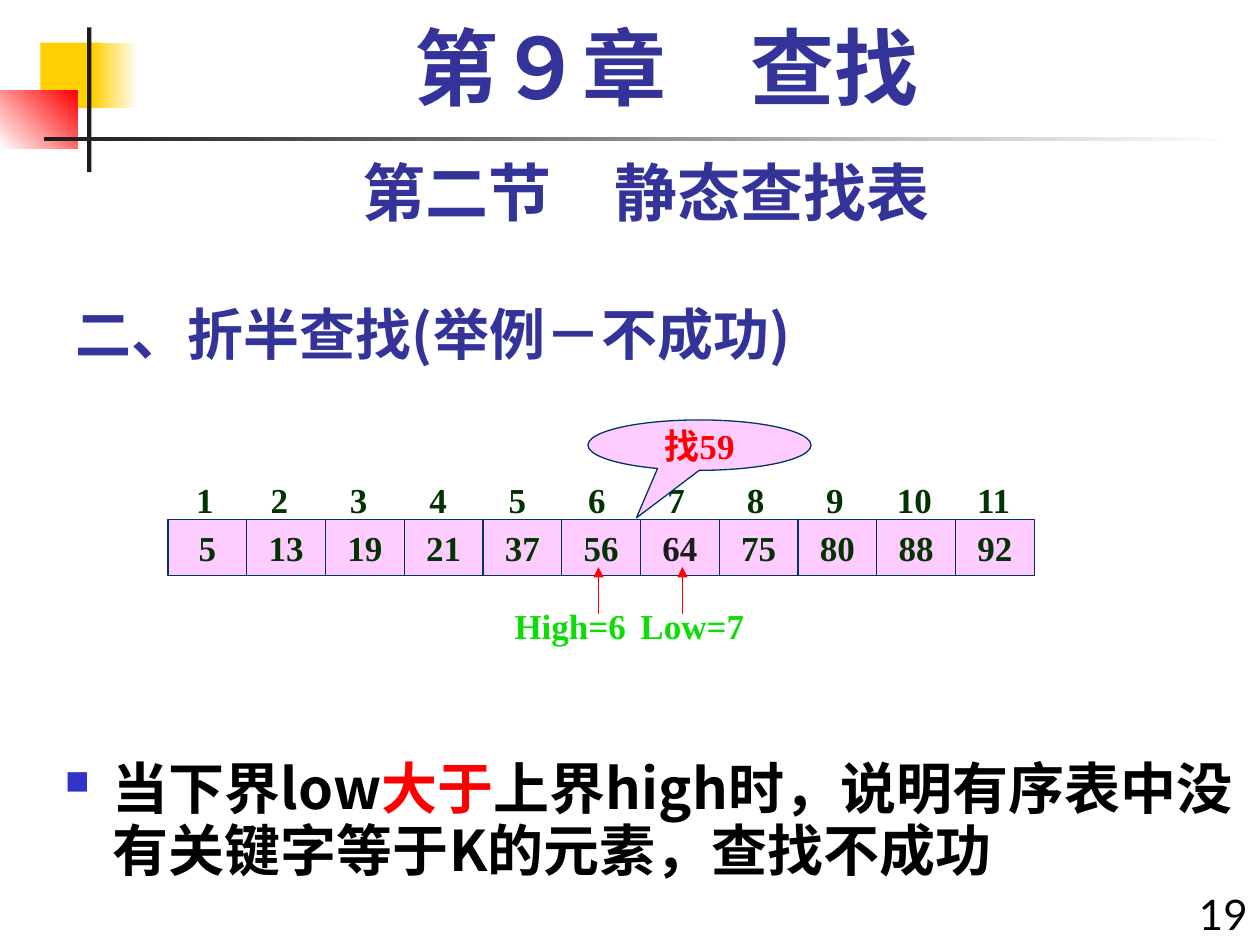
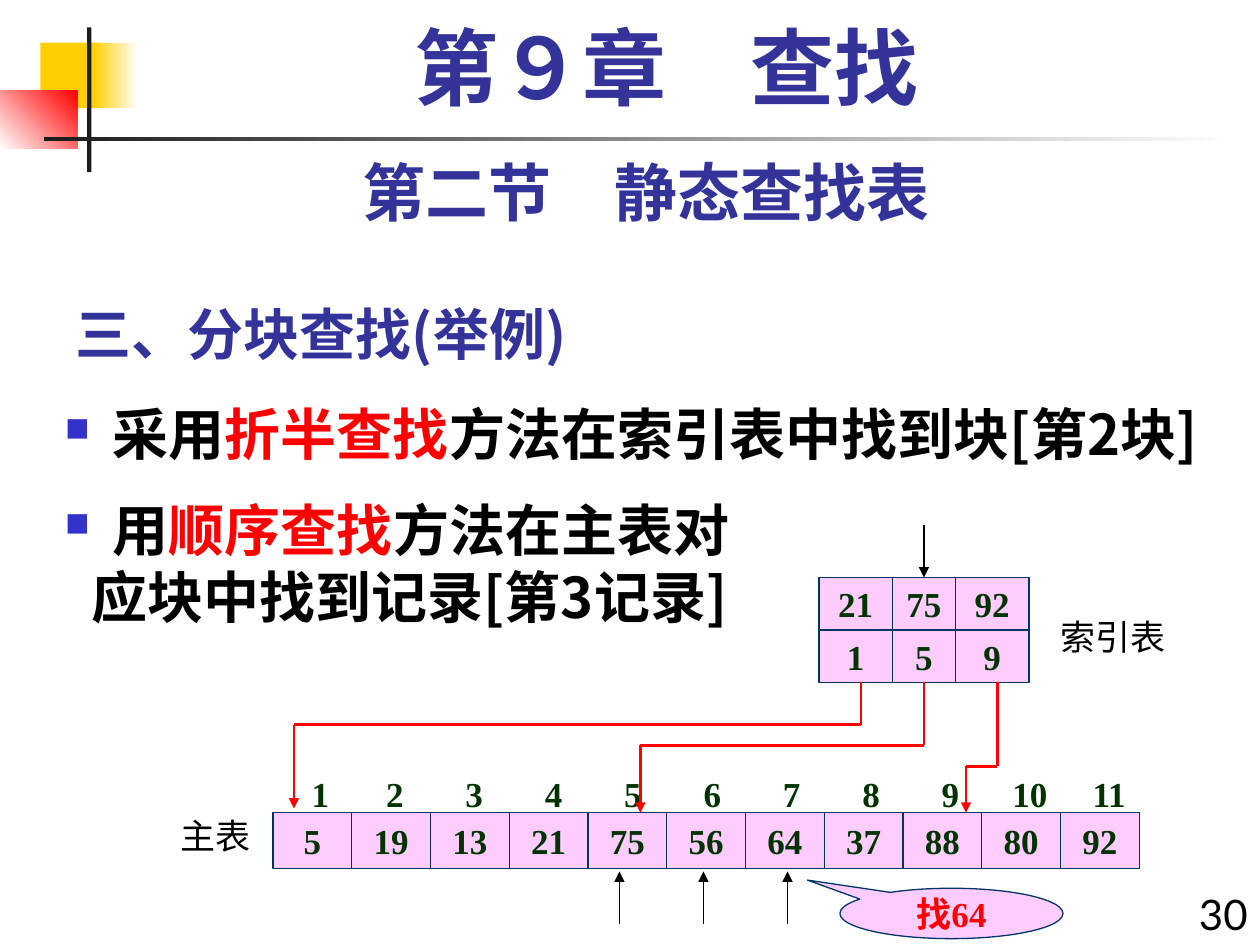
from itertools import pairwise

from lxml.etree import SubElement
from pptx import Presentation
from pptx.dml.color import RGBColor
from pptx.enum.shapes import MSO_CONNECTOR, MSO_SHAPE
from pptx.enum.text import MSO_ANCHOR, PP_ALIGN
from pptx.oxml.ns import qn
from pptx.util import Inches, Pt

color = RGBColor.from_string

# Grid: 240 columns by 180 rows, 24 to the inch
UNIT = Inches(1) / 24
NAVY, INK, RED, BLACK = "333399", "003300", "FF0000", "000000"
PINK, EDGE, GREEN, DARK = "FFCCFF", "003366", "0CDD07", "1C1C1C"
YELLOW, WHITE, BULLET = "FFCF01", "FFFFFF", "3333CC"

SERIF = {"size": Pt(20), "bold": True, "name": "Times New Roman"}
HEADING = {"size": Pt(32), "bold": True, "name": "Noto Sans CJK SC"}
CHAPTER = {"size": Pt(48), "bold": True, "name": "Times New Roman"}
SECTION = {"size": Pt(36), "bold": True, "name": "Lato"}
NUMBER = {"size": Pt(24), "bold": False, "name": "Lato"}
CAPTION = {"size": Pt(20), "bold": False, "name": "Lato"}

TOP = {"word_wrap": True, "vertical_anchor": MSO_ANCHOR.TOP}
BOTTOM = {"word_wrap": True, "vertical_anchor": MSO_ANCHOR.BOTTOM}
MIDDLE = {"word_wrap": False, "vertical_anchor": MSO_ANCHOR.MIDDLE}
FLUSH = TOP | {"margin_left": 0, "margin_right": 0}
LEFT, CENTER, RIGHT = PP_ALIGN.LEFT, PP_ALIGN.CENTER, PP_ALIGN.RIGHT


def grid(*values):
    return [round(value * UNIT) for value in values]


def write(shape, paragraphs, font, frame=TOP, align=LEFT):
    """Fill a shape with paragraphs, each a list of (text, colour) runs."""
    text_frame = shape.text_frame
    for name, value in frame.items():
        setattr(text_frame, name, value)
    for number, runs in enumerate(paragraphs):
        paragraph = text_frame.add_paragraph() if number else text_frame.paragraphs[0]
        paragraph.alignment = align
        for text, hue in runs:
            run = paragraph.add_run()
            run.text = text
            for name, value in font.items():
                setattr(run.font, name, value)
            run.font.color.rgb = color(hue)
            properties = run._r.get_or_add_rPr()
            properties.set("lang", "zh-CN")
            east_asian = font["name"] if font is HEADING else "Lato"
            SubElement(properties, qn("a:ea"), typeface=east_asian)
    return text_frame.paragraphs


# Shared bands: box, colours from start to end, gradient angle
bands = [
    ((7.7, 8.1, 11.5, 12.5), [YELLOW], 0),
    ((17.7, 8.1, 8.6, 12.5), [YELLOW, WHITE], 0),
    ((0, 17.3, 14.7, 11), [WHITE, RED], 45),
    ((16.6, 5.2, 0.8, 27.6), [DARK], 0),
    ((8.4, 26, 226.7, 0.8), [DARK, WHITE], 0),
]

# Contents of the two slides
lessons = [
    {
        "title": "二、折半查找(举例－不成功)",
        "number": "19",
        "body_top": 143.3,
        "line_spacing": Pt(35.4),
        "body": [[("当下界low", BLACK), ("大于", RED),
                  ("上界high时，说明有序表中没有关键字等于K的元素，查找不成功", BLACK)]],
        "labels": (35, 90),
        "tables": [(32, 99, [15] * 11, 10.6, [[5, 13, 19, 21, 37, 56, 64, 75, 80, 88, 92]])],
        "dark_value": 64,
        "callout": ((112, 80, 42.5, 9.6), "找59", (-0.283, 1.444)),
        "captions": [
            ((98, 114, 30, 10.4), "High=6", SERIF, GREEN, FLUSH, LEFT),
            ((122, 114, 24, 10.4), "Low=7", SERIF, GREEN, FLUSH, LEFT),
        ],
        "arrows": [(RED, 1, [(x, 117), (x, 108)]) for x in (114, 130)],
    },
    {
        "title": "三、分块查找(举例)",
        "number": "30",
        "body_top": 75,
        "line_spacing": Pt(38.4),
        "body": [
            [("采用", BLACK), ("折半查找", RED), ("方法在索引表中找到块[第2块]", BLACK)],
            [("用", BLACK), ("顺序查找", RED), ("方法在主表对", BLACK)],
            [("应块中找到记录[第3记录]", BLACK)],
        ],
        "labels": (57, 146),
        "tables": [
            (52, 154.8, [15] * 11, 10.6, [[5, 19, 13, 21, 75, 56, 64, 37, 88, 80, 92]]),
            (156, 110, [14, 12, 14], 10, [[21, 75, 92], [1, 5, 9]]),
        ],
        "dark_value": None,
        "callout": ((160, 169.2, 42.5, 9.6), "找64", (-0.646, -0.663)),
        "captions": [
            ((32, 154, 20, 10.4), "主表", CAPTION, BLACK, TOP, LEFT),
            ((200, 116, 24, 10.4), "索引表", CAPTION, BLACK, FLUSH, CENTER),
        ],
        "arrows": [
            (RED, 1.5, [(start, 130), (start, bend), (end, bend), (end, tip)])
            for start, bend, end, tip in [
                (164, 138, 56, 154), (176, 142, 122, 154.8), (190, 146, 184, 154.8)]
        ] + [(BLACK, 0.75, [(176, 100), (176, 110)])]
          + [(BLACK, 0.75, [(x, 176), (x, 166)]) for x in (118, 134, 150)],
    },
]

presentation = Presentation()
presentation.slide_width, presentation.slide_height = grid(240, 180)

for lesson in lessons:
    slide = presentation.slides.add_slide(presentation.slide_layouts[6])
    shapes = slide.shapes

    # Bands
    for box, hues, angle in bands:
        band = shapes.add_shape(MSO_SHAPE.RECTANGLE, *grid(*box))
        band.shadow.inherit = False
        band.line.fill.background()
        if len(hues) == 1:
            band.fill.solid()
            band.fill.fore_color.rgb = color(hues[0])
        else:
            band.fill.gradient()
            band.fill.gradient_angle = angle
            for stop, hue in zip(band.fill.gradient_stops, hues):
                stop.color.rgb = color(hue)

    # Headings and slide number
    for box, text, font, hue, frame, align, spacing in [
        ((12, 53, 150, 18), lesson["title"], HEADING, NAVY, BOTTOM, LEFT, 1.0),
        ((224, 168, 16, 12), lesson["number"], NUMBER, BLACK, TOP, RIGHT, 1.0),
        ((12, 28, 222, 16.8), "第二节　静态查找表", SECTION, NAVY, TOP, CENTER, 1.0),
        ((16, 4, 222, 20), "第９章　查找", CHAPTER, NAVY, TOP, CENTER, 0.9),
    ]:
        heading = shapes.add_textbox(*grid(*box))
        write(heading, [[(text, hue)]], font, frame, align)[0].line_spacing = spacing

    # Bulleted body; a third paragraph continues the second without a bullet
    top = lesson["body_top"]
    body = shapes.add_textbox(*grid(10, top, 230, 180 - top))
    for number, paragraph in enumerate(write(body, lesson["body"], HEADING)):
        paragraph.line_spacing = lesson["line_spacing"]
        properties = paragraph._p.get_or_add_pPr()
        if number == 2:
            properties.set("marL", str(Inches(0.21)))
            continue
        if number:
            paragraph.space_before = Pt(16)
        properties.set("marL", str(Inches(0.38)))
        properties.set("indent", str(-Inches(0.38)))
        bullet_color = SubElement(properties, qn("a:buClr"))
        SubElement(bullet_color, qn("a:srgbClr"), val=BULLET)
        SubElement(properties, qn("a:buSzPct"), val="60000")
        SubElement(properties, qn("a:buChar"), char="■")

    # Position labels, on tab stops over the cells
    labels = shapes.add_textbox(*grid(*lesson["labels"], 170, 10.4))
    text = "\t".join(str(position) for position in range(1, 12))
    paragraph = write(labels, [[(text, INK)]], SERIF)[0]
    tabs = SubElement(paragraph._p.get_or_add_pPr(), qn("a:tabLst"))
    for step in range(1, 11):
        SubElement(tabs, qn("a:tab"), pos=str(Inches(0.03 + 0.63 * step)), algn="ctr")

    # Cells and callout
    boxes = []
    for left, top, widths, height, rows in lesson["tables"]:
        for row, values in enumerate(rows):
            for column, value in enumerate(values):
                box = (left + sum(widths[:column]), top + row * height, widths[column], height)
                hue = DARK if value == lesson["dark_value"] else INK
                boxes.append((MSO_SHAPE.RECTANGLE, box, str(value), hue, ()))
    box, text, pointer = lesson["callout"]
    boxes.append((MSO_SHAPE.OVAL_CALLOUT, box, text, RED, pointer))
    for kind, box, text, hue, adjustments in boxes:
        shape = shapes.add_shape(kind, *grid(*box))
        shape.shadow.inherit = False
        shape.fill.solid()
        shape.fill.fore_color.rgb = color(PINK)
        shape.line.color.rgb = color(EDGE)
        shape.line.width = Pt(0.75)
        for index, adjustment in enumerate(adjustments):
            shape.adjustments[index] = adjustment
        write(shape, [[(text, hue)]], SERIF, MIDDLE, CENTER)

    # Arrows, with a head on the last leg
    for hue, width, points in lesson["arrows"]:
        for start, end in pairwise(points):
            leg = shapes.add_connector(MSO_CONNECTOR.STRAIGHT, *grid(*start, *end))
            leg.line.color.rgb = color(hue)
            leg.line.width = Pt(width)
            SubElement(leg._element.spPr, qn("a:effectLst"))
        SubElement(leg.line._get_or_add_ln(), qn("a:tailEnd"), type="triangle")

    # Captions
    for box, text, font, hue, frame, align in lesson["captions"]:
        write(shapes.add_textbox(*grid(*box)), [[(text, hue)]], font, frame, align)

presentation.save("out.pptx")
